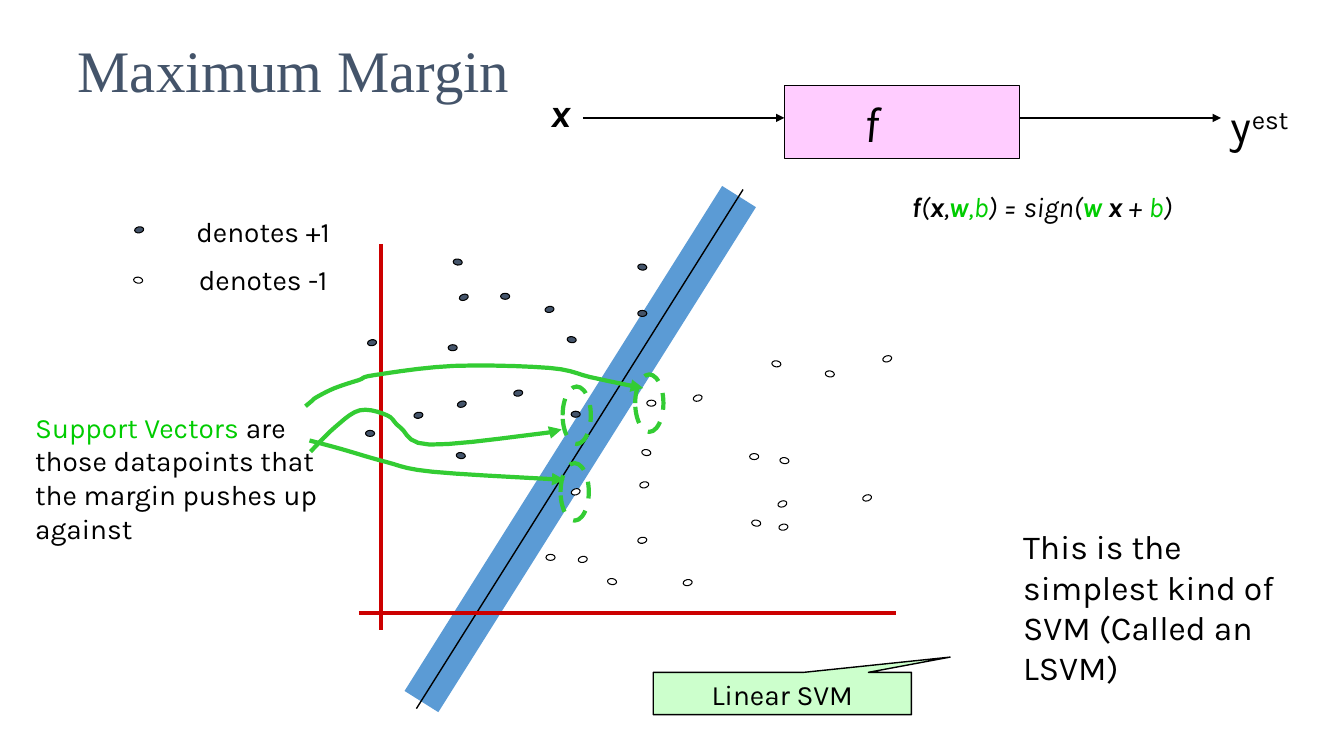
from lxml import etree
from pptx import Presentation
from pptx import util as u
from pptx.dml.color import RGBColor
from pptx.enum import dml, shapes, text
from pptx.oxml import ns

COLORS = {
    "black": "000000", "white": "FFFFFF", "slate": "44546A", "band": "5B9BD5",
    "axis": "CC0000", "green": "00CC00", "pointer": "33CC33",
    "pink": "FFCCFF", "mint": "CCFFCC",
}
TITLE = "Maximum Margin"
LINES = [
    ((4.18, 6.96), (7.33, 1.95), "band", 28.5, False),
    ((4.13, 7.03), (7.37, 1.88), "black", 1, False),
    ((5.78, 1.17), (7.78, 1.17), "black", 1, True),
    ((10.11, 1.17), (12.11, 1.17), "black", 1, True),
    ((3.78, 2.42), (3.78, 6.25), "axis", 3, False),
    ((3.56, 6.08), (8.89, 6.08), "axis", 3, False),
]
DOT_SIZE = (0.09, 0.06)
DOTS = [
    ("slate", 0, [(3.67, 4.3), (6.37, 3.11), (5.01, 2.94), (5.71, 4.11), (4.49, 3.45)]),
    ("slate", -18.6, [(4.6, 2.95), (4.58, 4.01)]),
    ("slate", 8.3, [(5.67, 3.37), (4.57, 4.52), (6.37, 2.65), (4.54, 2.6)]),
    ("slate", -10.4, [(1.38, 2.28), (5.14, 3.9), (4.15, 4.12), (5.45, 3.07), (3.69, 3.4)]),
    ("white", 0, [(5.46, 5.53), (6.46, 4), (7.48, 4.53)]),
    ("white", -18.6, [(5.71, 4.88), (8.8, 3.56), (7.76, 5), (6.92, 3.95), (8.6, 4.94)]),
    ("white", 8.3, [(1.37, 2.78), (6.07, 5.77), (7.78, 4.57), (6.41, 4.49),
                    (8.23, 3.71), (7.7, 3.61), (7.5, 5.19)]),
    ("white", -10.4, [(6.82, 5.78), (6.37, 5.36), (6.39, 4.81), (5.78, 5.55), (7.77, 5.23)]),
]
RING_SIZE = (0.28, 0.57)
RING_CENTRES = [(6.44, 4), (5.72, 4.12), (5.7, 4.88)]
POINTERS = [
    [(3.08, 4.48), (3.32, 4.24), (3.57, 4.07), (3.84, 4.12), (3.97, 4.24),
     (4.26, 4.41), (5.37, 4.3), (5.57, 4.26)],
    [(3.03, 4.03), (3.09, 3.98), (3.14, 3.94), (3.32, 3.85), (3.56, 3.77), (3.72, 3.72),
     (4.5, 3.63), (5.45, 3.65), (5.85, 3.74), (6.13, 3.8), (6.38, 3.85)],
    [(3.07, 4.37), (3.37, 4.45), (3.82, 4.58), (4.29, 4.68), (5.6, 4.76)],
]
STEPS = 5
TEXTS = [
    ((5.11, 0.83, 0.89, 0.57), 28, "center", [[("x", "black", "bi")]]),
    ((12.11, 0.92, 1.22, 0.63), 32, "left", [[("y", "black", ""), ("est", "black", "^")]]),
    ((1.22, 2.08, 2.78, 0.93), 20, "center",
     [[("denotes +1", "black", "")], [("denotes -1", "black", "")]]),
    ((8, 1.83, 4.67, 0.43), 20, "center", [[
        ("f", "black", "bi"), ("(", "black", "i"), ("x", "black", "bi"), (",", "black", "i"),
        ("w", "green", "bi"), (",b", "green", "i"), (") = sign(", "black", "i"),
        ("w", "green", "bi"), (" x ", "black", "bi"), ("+ ", "black", "i"),
        ("b", "green", "i"), (")", "black", "i")]]),
    ((10.05, 5.17, 3.03, 1.31), 24, "left",
     [[("This is the simplest kind of SVM (Called an LSVM)", "black", "")]]),
    ((0.25, 4.02, 3.09, 1.45), 20, "left", [[
        ("Support Vectors ", "green", ""),
        ("are those datapoints that the margin pushes up against", "black", "")]]),
]
ALIGNMENTS = {"left": text.PP_ALIGN.LEFT, "center": text.PP_ALIGN.CENTER}

presentation = Presentation()
presentation.slide_width, presentation.slide_height = u.Inches(13.33), u.Inches(7.5)
slide = presentation.slides.add_slide(presentation.slide_layouts[5])


def color(name):
    return RGBColor.from_string(COLORS[name])


def inches(values):
    return [u.Inches(value) for value in values]


def style_line(line, name, width, arrow=False):
    line.color.rgb = color(name)
    line.width = u.Pt(width)
    if arrow:
        properties = line._get_or_add_ln()
        etree.SubElement(properties, ns.qn("a:tailEnd"), type="triangle")


def add_line(start, end, name, width, arrow):
    connector = slide.shapes.add_connector(
        shapes.MSO_CONNECTOR.STRAIGHT, *inches(start + end))
    style_line(connector.line, name, width, arrow)
    etree.SubElement(connector._element.spPr, ns.qn("a:effectLst"))


def add_outline(kind, box, fill, line="black", width=1):
    shape = slide.shapes.add_shape(kind, *inches(box))
    shape.shadow.inherit = False
    if fill:
        shape.fill.solid()
        shape.fill.fore_color.rgb = color(fill)
    else:
        shape.fill.background()
    style_line(shape.line, line, width)
    return shape


def add_ellipse(centre, size, *style):
    corner = [middle - length / 2 for middle, length in zip(centre, size)]
    return add_outline(shapes.MSO_SHAPE.OVAL, (*corner, *size), *style)


def write(shape, paragraphs, size, alignment, font="Karla"):
    frame = shape.text_frame
    frame.word_wrap = True
    for index, runs in enumerate(paragraphs):
        paragraph = frame.add_paragraph() if index else frame.paragraphs[0]
        paragraph.alignment = ALIGNMENTS[alignment]
        if index:
            paragraph.space_before = u.Pt(size * 0.5)
        for words, name, marks in runs:
            run = paragraph.add_run()
            run.text = words
            run.font.name, run.font.size = font, u.Pt(size)
            run.font.color.rgb = color(name)
            run.font.bold, run.font.italic = "b" in marks, "i" in marks
            if "^" in marks:
                run._r.get_or_add_rPr().set("baseline", "30000")
    return frame


def curve(knots):
    padded = [knots[0], *knots, knots[-1]]
    points = [knots[0]]
    for before, start, end, after in zip(padded, padded[1:], padded[2:], padded[3:]):
        for step in range(1, STEPS + 1):
            t = step / STEPS
            points.append(tuple(
                b + (c - a) * t / 2 + (2 * a - 5 * b + 4 * c - d) * t ** 2 / 2
                + (3 * b - a - 3 * c + d) * t ** 3 / 2
                for a, b, c, d in zip(before, start, end, after)))
    return points


def add_pointer(knots):
    points = [inches(point) for point in curve(knots)]
    builder = slide.shapes.build_freeform(*points[0])
    builder.add_line_segments(points[1:], close=False)
    shape = builder.convert_to_shape()
    shape.shadow.inherit = False
    shape.fill.background()
    style_line(shape.line, "pointer", 3, True)


title = slide.shapes.title
title.left, title.top, title.width, title.height = inches((0.67, 0.33, 6.78, 0.75))
title_frame = write(title, [[(TITLE, "slate", "")]], 42, "left", "Times New Roman")
title_frame.vertical_anchor = text.MSO_ANCHOR.BOTTOM

for line in LINES:
    add_line(*line)

function_box = add_outline(shapes.MSO_SHAPE.RECTANGLE, (7.78, 0.85, 2.33, 0.72), "pink")
function_frame = write(function_box, [[("f", "black", "i")]], 36, "center")
function_frame.margin_right = u.Inches(0.7)
function_frame.vertical_anchor = text.MSO_ANCHOR.MIDDLE

for fill, angle, centres in DOTS:
    for centre in centres:
        add_ellipse(centre, DOT_SIZE, fill, "black", 0.75).rotation = angle

for box, size, alignment, paragraphs in TEXTS:
    write(slide.shapes.add_textbox(*inches(box)), paragraphs, size, alignment)

callout = add_outline(shapes.MSO_SHAPE.RECTANGULAR_CALLOUT, (6.48, 6.67, 2.56, 0.42), "mint")
callout.adjustments[0], callout.adjustments[1] = 0.65, -0.86
callout_frame = write(callout, [[("Linear SVM", "black", "")]], 20, "center")
callout_frame.vertical_anchor = text.MSO_ANCHOR.TOP

for knots in POINTERS:
    add_pointer(knots)
for centre in RING_CENTRES:
    ring = add_ellipse(centre, RING_SIZE, None, "pointer", 3)
    ring.line.dash_style = dml.MSO_LINE.DASH

presentation.save("out.pptx")
